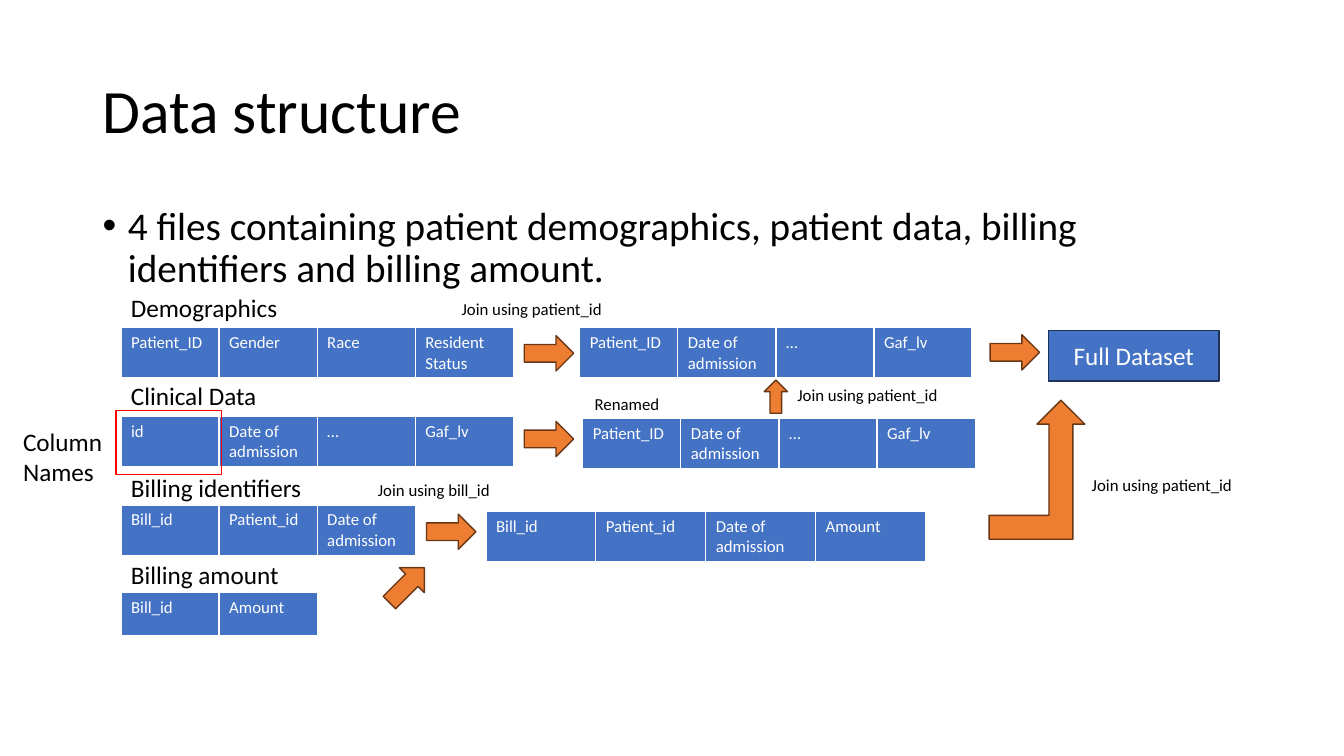
from dataclasses import dataclass

from lxml.etree import SubElement
from pptx import Presentation
from pptx.dml.color import RGBColor
from pptx.enum.shapes import MSO_SHAPE as SHAPE
from pptx.enum.text import MSO_ANCHOR as ANCHOR, PP_ALIGN as ALIGN
from pptx.oxml.ns import qn
from pptx.util import Inches, Pt


@dataclass(frozen=True)
class Theme:
    """Colours, font and type sizes of the slide."""
    font: str = "Calibri"
    black: RGBColor = RGBColor(0x00, 0x00, 0x00)
    white: RGBColor = RGBColor(0xFF, 0xFF, 0xFF)
    blue: RGBColor = RGBColor(0x44, 0x72, 0xC4)
    navy: RGBColor = RGBColor(0x1E, 0x32, 0x56)
    orange: RGBColor = RGBColor(0xED, 0x7D, 0x31)
    brown: RGBColor = RGBColor(0x68, 0x37, 0x15)
    red: RGBColor = RGBColor(0xFF, 0x00, 0x00)
    title: int = 44
    body: int = 28
    heading: int = 18
    small: int = 12


THEME = Theme()
CELL_WIDTH = 0.973
VISIT = ["Date of admission", "…", "Gaf_lv"]


def add_run(p, text, size, color):
    """Add one styled run to a paragraph."""
    r = p.add_run()
    r.text = text
    r.font.name = THEME.font
    r.font.size = Pt(size)
    r.font.bold = False
    r.font.color.rgb = color


def add_text(slide, text, left, top, width, height, size, anchor=ANCHOR.TOP):
    """Add a wrapped text box and return its paragraph."""
    tf = slide.shapes.add_textbox(
        Inches(left), Inches(top), Inches(width), Inches(height)).text_frame
    tf.word_wrap = True
    tf.vertical_anchor = anchor
    p = tf.paragraphs[0]
    add_run(p, text, size, THEME.black)
    return p


def add_heading(slide, text, top):
    """Add the name of a source file above its table."""
    add_text(slide, text, 1.2, top, 2.1, 0.4, THEME.heading)


def add_note(slide, text, left, top):
    """Add a small note beside a step."""
    add_text(slide, text, left, top, 2.1, 0.3, THEME.small)


def add_bullet(p):
    """Give a paragraph a hanging round bullet."""
    pPr = p._p.get_or_add_pPr()
    pPr.set("marL", str(Inches(0.25)))
    pPr.set("indent", str(-Inches(0.25)))
    SubElement(pPr, qn("a:buFont")).set("typeface", "Arial")
    SubElement(pPr, qn("a:buChar")).set("char", "•")


def add_columns(slide, names, left, top, height=0.5, width=CELL_WIDTH):
    """Add a one-row table of column names."""
    table = slide.shapes.add_table(
        1, len(names), Inches(left), Inches(top),
        Inches(width * len(names)), Inches(height)).table
    for i, name in enumerate(names):
        table.columns[i].width = Inches(width)
        cell = table.cell(0, i)
        cell.fill.solid()
        cell.fill.fore_color.rgb = THEME.blue
        add_run(cell.text_frame.paragraphs[0], name, THEME.small, THEME.white)


def add_shape(slide, kind, left, top, width, height, fill, line):
    """Add a preset shape, unfilled when fill is None."""
    sp = slide.shapes.add_shape(
        kind, Inches(left), Inches(top), Inches(width), Inches(height))
    sp.shadow.inherit = False
    if fill is None:
        sp.fill.background()
    else:
        sp.fill.solid()
        sp.fill.fore_color.rgb = fill
    sp.line.color.rgb = line
    sp.line.width = Pt(1)
    return sp


def add_arrow(slide, left, top, width=0.49, height=0.35, rotation=0,
              kind=SHAPE.RIGHT_ARROW):
    """Add an orange block arrow."""
    sp = add_shape(slide, kind, left, top, width, height,
                   THEME.orange, THEME.brown)
    sp.rotation = rotation


def add_sources(slide):
    """Add the four source files with their headings."""
    sources = [
        ("Demographics", 2.85, 3.25, 0.5,
         ["Patient_ID", "Gender", "Race", "Resident Status"]),
        ("Clinical Data", 3.72, 4.13, 0.5, ["id", *VISIT]),
        ("Billing identifiers", 4.64, 5.01, 0.5,
         ["Bill_id", "Patient_id", "Date of admission"]),
        ("Billing amount", 5.5, 5.88, 0.43, ["Bill_id", "Amount"]),
    ]
    for heading, heading_top, top, height, names in sources:
        add_heading(slide, heading, heading_top)
        add_columns(slide, names, 1.2, top, height)
    add_text(slide, "Column Names", 0.13, 4.18, 1.05, 0.71, THEME.heading)
    add_shape(slide, SHAPE.RECTANGLE, 1.15, 4.07, 1.05, 0.64, None, THEME.red)


def add_joins(slide):
    """Add the joined tables, the arrows and the notes."""
    add_columns(slide, ["Patient_ID", *VISIT], 5.75, 3.25)
    add_columns(slide, ["Patient_ID", *VISIT], 5.78, 4.15)
    add_columns(slide, ["Bill_id", "Patient_id", "Date of admission", "Amount"],
                4.82, 5.07, width=1.09)
    for left, top in [(5.2, 3.33), (5.2, 4.18), (4.23, 5.1), (9.82, 3.32)]:
        add_arrow(slide, left, top)
    add_arrow(slide, 3.79, 5.63, rotation=315)
    add_arrow(slide, 7.53, 3.82, 0.33, 0.23, rotation=270)
    add_arrow(slide, 9.81, 3.97, 0.95, 1.38, kind=SHAPE.BENT_UP_ARROW)
    for left, top in [(4.48, 2.91), (7.81, 3.77), (10.73, 4.66)]:
        add_note(slide, "Join using patient_id", left, top)
    add_note(slide, "Join using bill_id", 3.65, 4.71)
    add_note(slide, "Renamed", 5.8, 3.86)


def add_result(slide):
    """Add the box for the full dataset."""
    sp = add_shape(slide, SHAPE.RECTANGLE, 10.4, 3.28, 1.69, 0.5,
                   THEME.blue, THEME.navy)
    tf = sp.text_frame
    tf.vertical_anchor = ANCHOR.MIDDLE
    p = tf.paragraphs[0]
    p.alignment = ALIGN.CENTER
    add_run(p, "Full Dataset", THEME.heading, THEME.white)


def main():
    """Build and save the slide."""
    prs = Presentation()
    prs.slide_width, prs.slide_height = Inches(13.33), Inches(7.5)
    slide = prs.slides.add_slide(prs.slide_layouts[6])
    title = add_text(slide, "Data structure", 0.92, 0.4, 11.5, 1.45,
                     THEME.title, ANCHOR.MIDDLE)
    title.line_spacing = 0.9
    body = add_text(
        slide, "4 files containing patient demographics, patient data, "
        "billing identifiers and billing amount.",
        0.92, 2, 11.5, 4.76, THEME.body)
    body.line_spacing = 0.9
    body.space_before = Pt(10)
    add_bullet(body)
    add_sources(slide)
    add_joins(slide)
    add_result(slide)
    prs.save("out.pptx")


if __name__ == "__main__":
    main()
